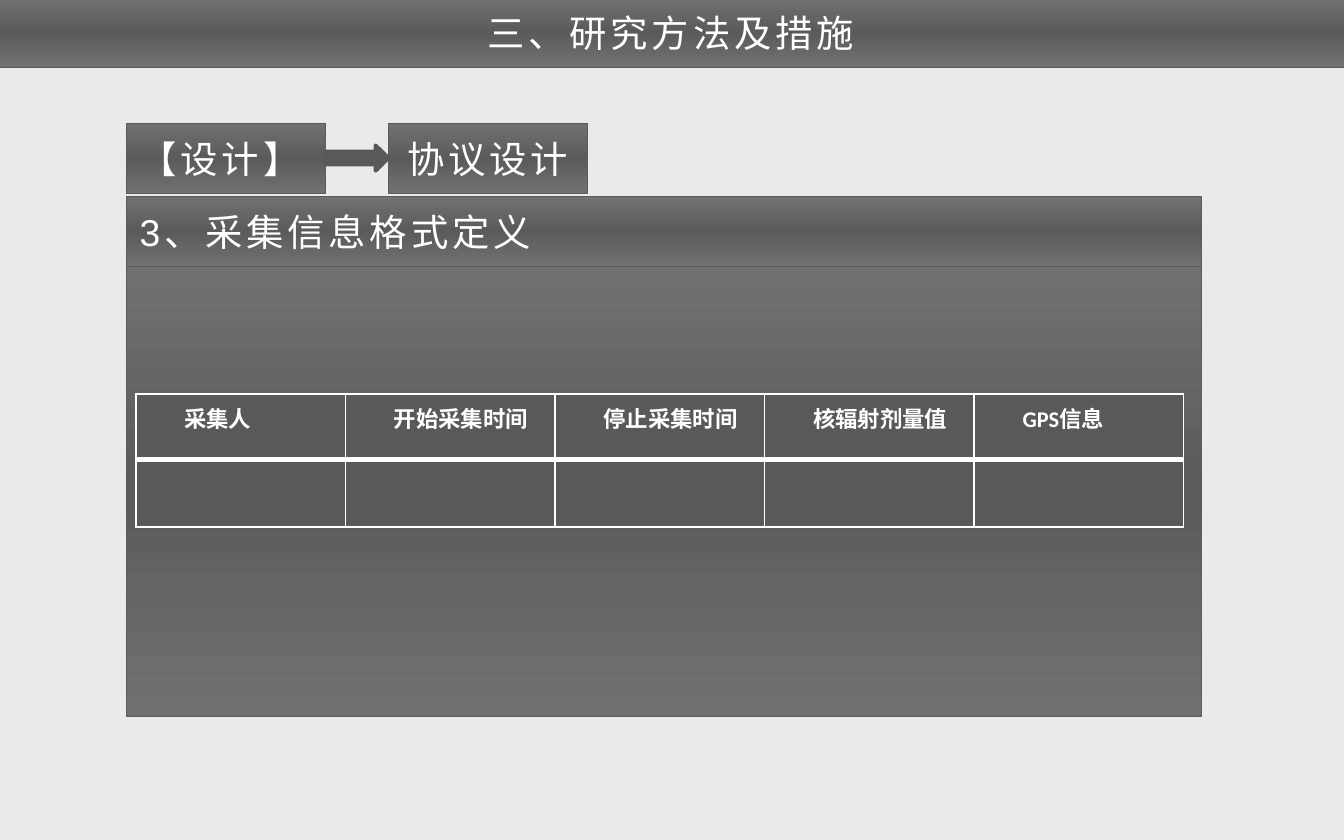
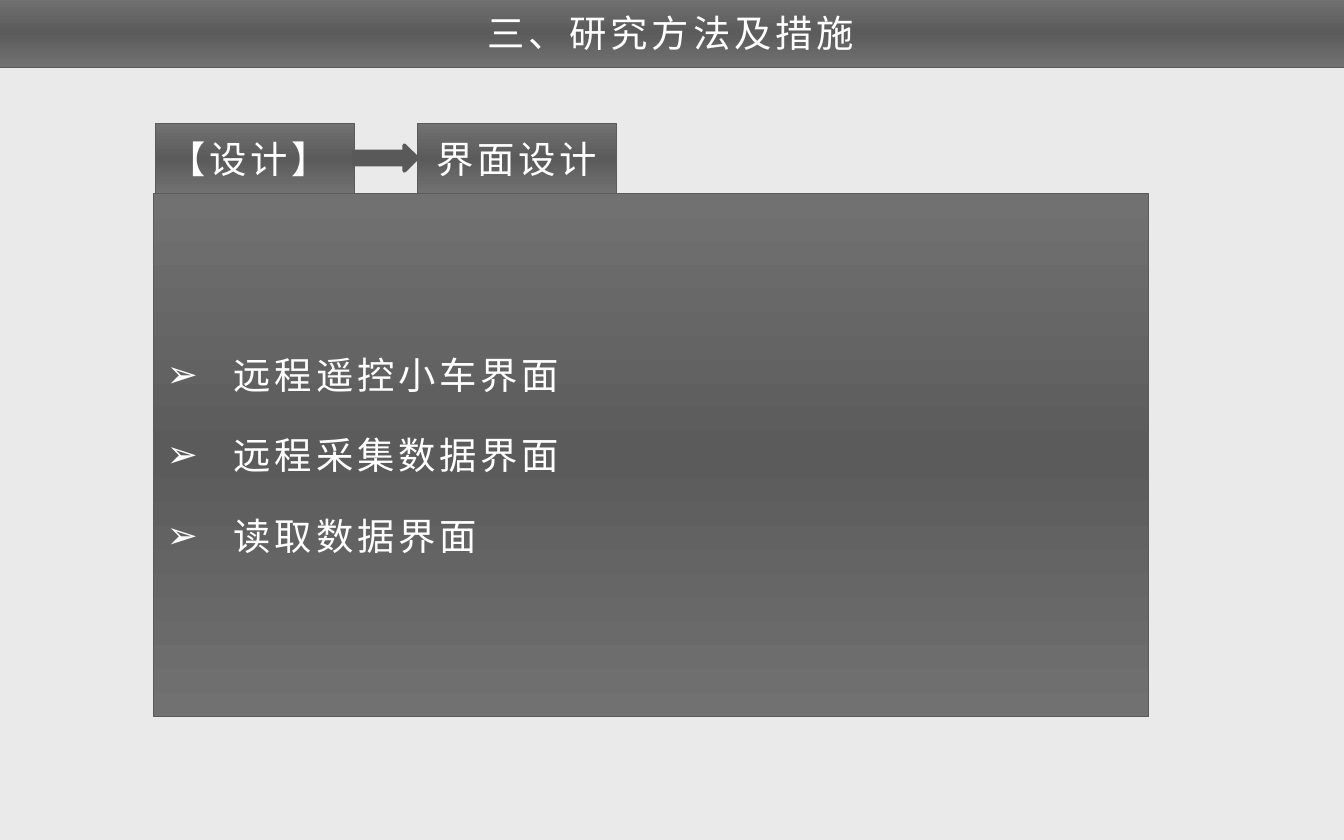
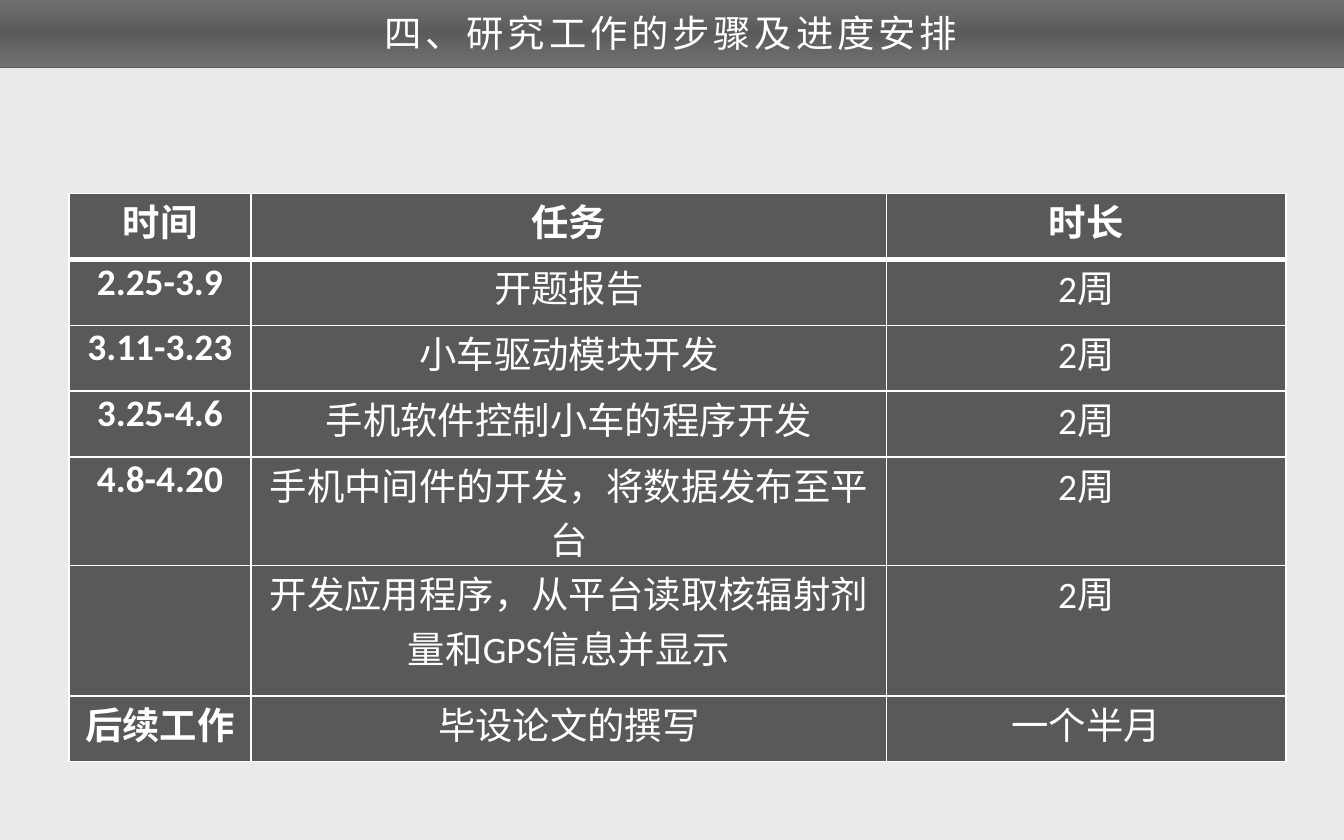
from copy import deepcopy

from lxml import etree
from pptx import Presentation
from pptx.dml.color import RGBColor
from pptx.enum import shapes, text
from pptx.oxml import ns
from pptx.util import Pt

COLORS = {
    "background": "EAEAEA",
    "edge": "717171",
    "core": "5B5B5B",
    "solid": "595959",
    "white": "FFFFFF",
}
HEADING_FONT = "Arial"
TABLE_FONT = "Calibri"
LEFT, CENTER, JUSTIFY = text.PP_ALIGN.LEFT, text.PP_ALIGN.CENTER, text.PP_ALIGN.JUSTIFY
CHIP_TOP, CHIP_WIDTH, BAR_HEIGHT = 66.2, 106.6, 37.4
ARROW_WIDTH, ARROW_HEIGHT = 33.8, 13.7
PANEL_BOTTOM = 383.8
ROW_HEIGHT = 35.3


def rgb(name):
    return RGBColor.from_string(COLORS[name])


def place(box, left, top, width, height):
    box.left, box.top, box.width, box.height = Pt(left), Pt(top), Pt(width), Pt(height)


def paint_band(box):
    box.fill.gradient()
    box.fill.gradient_angle = 270
    stop_list = box.element.spPr.find(".//" + ns.qn("a:gsLst"))
    stop_list.append(deepcopy(stop_list[0]))
    stops = zip(box.fill.gradient_stops, (0, 0.5, 1), ("edge", "core", "edge"))
    for stop, position, color in stops:
        stop.position = position
        stop.color.rgb = rgb(color)
    box.line.color.rgb = rgb("core")
    box.line.width = Pt(0.25)


def write(para, words, font=HEADING_FONT, size=20, bold=False, align=CENTER,
          tracking=0, before=0, spacing=1.0, margin=0, indent=0, bullet=None):
    para.alignment = align
    para.space_before = Pt(before)
    para.line_spacing = spacing
    properties = para._p.get_or_add_pPr()
    properties.set("marL", str(Pt(margin)))
    properties.set("indent", str(Pt(indent)))
    if bullet:
        etree.SubElement(properties, ns.qn("a:buFont")).set("typeface", font)
        etree.SubElement(properties, ns.qn("a:buChar")).set("char", bullet)
    span = para.add_run()
    span.text = words
    span.font.name = font
    span.font.size = Pt(size)
    span.font.bold = bold
    span.font.color.rgb = rgb("white")
    if tracking:
        span._r.get_or_add_rPr().set("spc", str(tracking * 100))


def prepare_frame(box):
    frame = box.text_frame
    frame.auto_size = text.MSO_AUTO_SIZE.NONE
    frame.word_wrap = True
    frame.vertical_anchor = text.MSO_ANCHOR.MIDDLE
    return frame


def add_page(deck, layout, title):
    page = deck.slides.add_slide(deck.slide_layouts[layout])
    box = page.shapes.title
    place(box, -1.4, -1.4, 721.4, 37.4)
    paint_band(box)
    write(prepare_frame(box).paragraphs[0], title, tracking=2)
    return page


def add_band(page, left, top, width, height, words="", align=LEFT):
    box = page.shapes.add_shape(shapes.MSO_SHAPE.RECTANGLE,
                                Pt(left), Pt(top), Pt(width), Pt(height))
    box.shadow.inherit = False
    paint_band(box)
    if words:
        write(prepare_frame(box).paragraphs[0], words, align=align, tracking=2)


def add_topic_path(page, left, topic):
    add_band(page, left, CHIP_TOP, CHIP_WIDTH, BAR_HEIGHT, "【设计】")
    add_band(page, left + CHIP_WIDTH + ARROW_WIDTH, CHIP_TOP,
             CHIP_WIDTH, BAR_HEIGHT, topic, CENTER)
    arrow = page.shapes.add_shape(
        shapes.MSO_SHAPE.RIGHT_ARROW, Pt(left + CHIP_WIDTH), Pt(77.8),
        Pt(ARROW_WIDTH), Pt(ARROW_HEIGHT))
    arrow.shadow.inherit = False
    arrow.fill.solid()
    arrow.fill.fore_color.rgb = rgb("solid")
    arrow.line.color.rgb = rgb("solid")
    arrow.line.width = Pt(2)


def add_list(box, items):
    paint_band(box)
    frame = prepare_frame(box)
    for index, item in enumerate(items):
        para = frame.add_paragraph() if index else frame.paragraphs[0]
        write(para, item, align=LEFT, tracking=2, before=19 if index else 0,
              margin=36, indent=-36, bullet="➢")


def set_borders(cell, top, bottom):
    properties = cell._tc.get_or_add_tcPr()
    weights = {"lnL": 1, "lnR": 1, "lnT": top, "lnB": bottom}
    for index, (side, weight) in enumerate(weights.items()):
        line = etree.Element(ns.qn("a:" + side), w=str(Pt(weight)))
        fill = etree.SubElement(line, ns.qn("a:solidFill"))
        etree.SubElement(fill, ns.qn("a:srgbClr")).set("val", COLORS["white"])
        properties.insert(index, line)


def add_grid(page, left, top, widths, heights, rows, **style):
    table = page.shapes.add_table(len(rows), len(widths), Pt(left), Pt(top),
                                  Pt(sum(widths)), Pt(sum(heights))).table
    for column, width in zip(table.columns, widths):
        column.width = Pt(width)
    for r, (row, height) in enumerate(zip(rows, heights)):
        table.rows[r].height = Pt(height)
        for c, words in enumerate(row):
            cell = table.cell(r, c)
            cell.margin_left = cell.margin_right = Pt(5)
            cell.margin_top = cell.margin_bottom = 0
            cell.fill.solid()
            cell.fill.fore_color.rgb = rgb("solid")
            set_borders(cell, 3 if r == 1 else 1, 3 if r == 0 else 1)
            if words:
                write(cell.text_frame.paragraphs[0], words, font=TABLE_FONT,
                      bold=r == 0 or c == 0, before=6, **style)


def build_format_page(deck):
    page = add_page(deck, 5, "三、研究方法及措施")
    left, top, width = 67.7, 105.1, 576
    panel_top = top + BAR_HEIGHT
    add_band(page, left, panel_top, width, PANEL_BOTTOM - panel_top)
    add_topic_path(page, left, "协议设计")
    add_band(page, left, top, width, BAR_HEIGHT, "3、采集信息格式定义")
    fields = ["采集人", "开始采集时间", "停止采集时间", "核辐射剂量值", "GPS信息"]
    add_grid(page, 72.7, 211, [112.3] * len(fields), [ROW_HEIGHT, 36],
             [fields, [""] * len(fields)],
             size=12, align=JUSTIFY, spacing=1.25, indent=21)


def build_interface_page(deck):
    page = add_page(deck, 1, "三、研究方法及措施")
    top = CHIP_TOP + BAR_HEIGHT
    panel = page.placeholders[1]
    place(panel, 82.1, top, 533, PANEL_BOTTOM - top)
    add_list(panel, ["远程遥控小车界面", "远程采集数据界面", "读取数据界面"])
    add_topic_path(page, 83.1, "界面设计")


def build_schedule_page(deck):
    page = add_page(deck, 5, "四、研究工作的步骤及进度安排")
    rows = [
        ("时间", "任务", "时长"),
        ("2.25-3.9", "开题报告", "2周"),
        ("3.11-3.23", "小车驱动模块开发", "2周"),
        ("3.25-4.6", "手机软件控制小车的程序开发", "2周"),
        ("4.8-4.20", "手机中间件的开发，将数据发布至平台", "2周"),
        ("", "开发应用程序，从平台读取核辐射剂量和GPS信息并显示", "2周"),
        ("后续工作", "毕设论文的撰写", "一个半月"),
    ]
    heights = [ROW_HEIGHT] * 5 + [69.8, ROW_HEIGHT]
    add_grid(page, 36.9, 103.7, [97.7, 340.4, 214], heights, rows)


def main():
    deck = Presentation()
    deck.slide_width, deck.slide_height = Pt(720), Pt(450)
    background = deck.slide_master.background.fill
    background.solid()
    background.fore_color.rgb = rgb("background")
    build_format_page(deck)
    build_interface_page(deck)
    build_schedule_page(deck)
    deck.save("out.pptx")


main()
